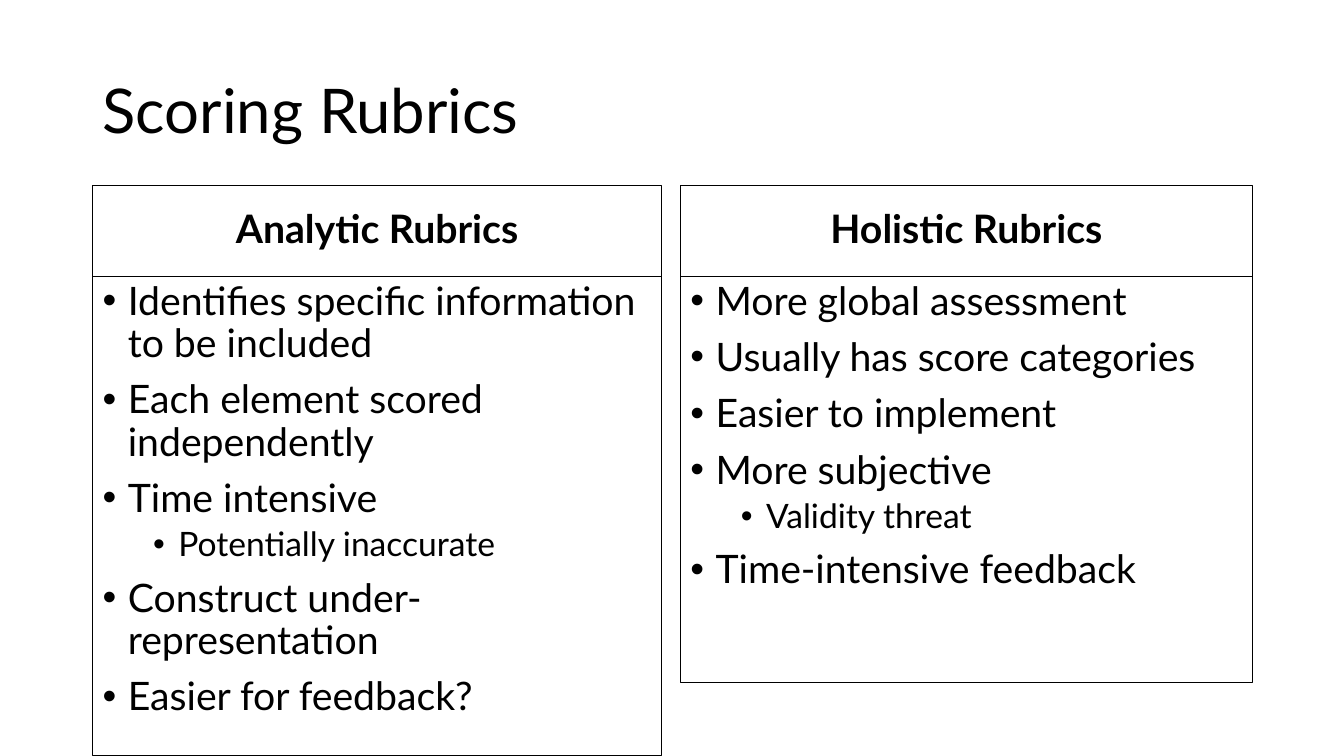
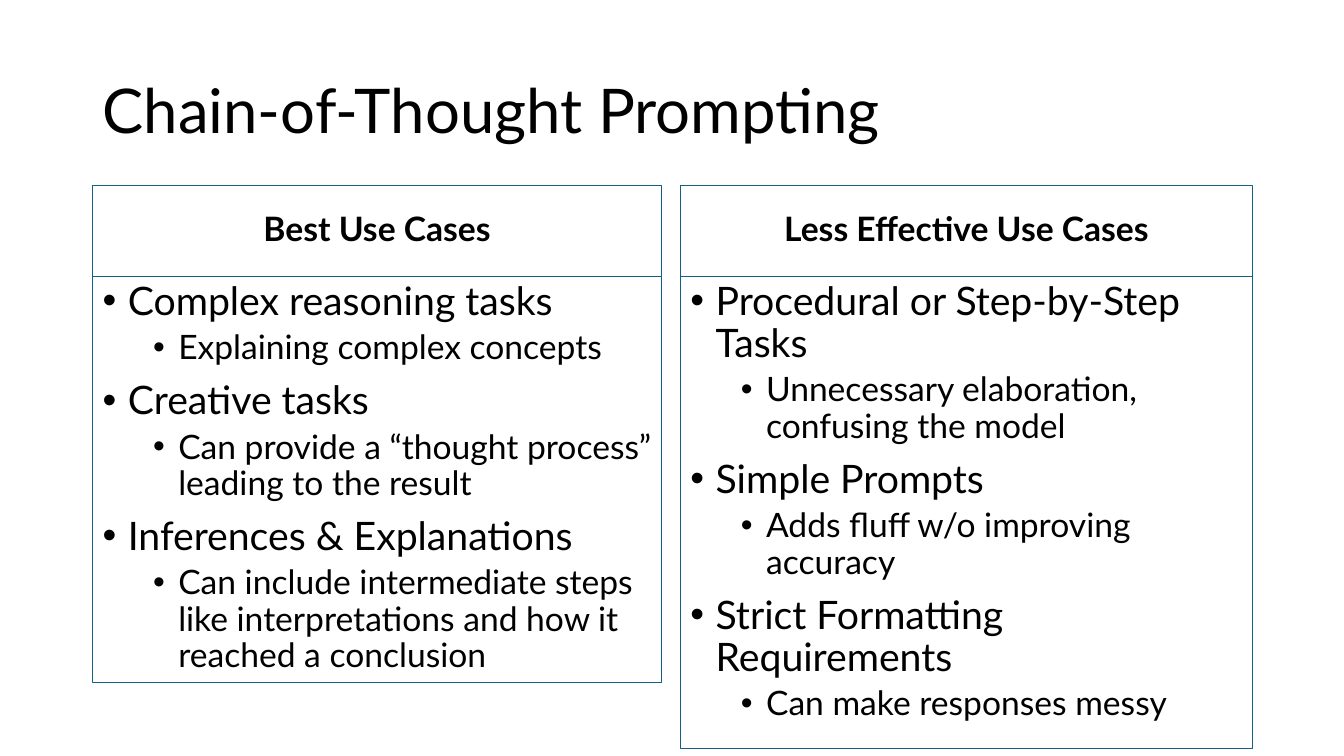
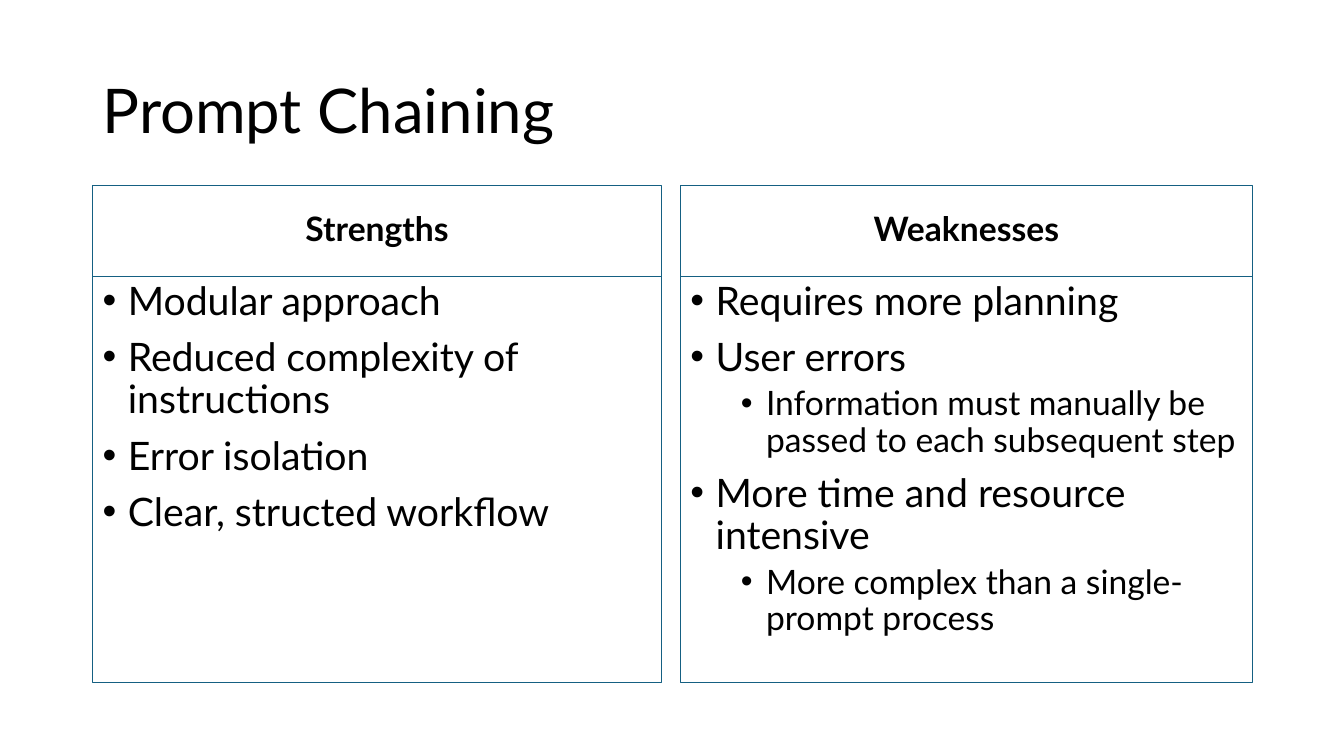
from dataclasses import dataclass

from lxml import etree
from pptx import Presentation
from pptx import util as u
from pptx.dml.color import RGBColor
from pptx.enum import shapes, text
from pptx.oxml import ns


@dataclass(frozen=True)
class Theme:
    font: str = "Lato"
    ink: RGBColor = RGBColor(0, 0, 0)
    teal: RGBColor = RGBColor(0x15, 0x60, 0x82)
    title: int = 44
    large: int = 28
    small: int = 24
    border: float = 0.75
    line_spacing: float = 0.9


theme = Theme()

# Grid in inches: (left, width) of columns, (top, height) of rows
WIDTH, HEIGHT = 13.33, 7.5
FULL = (0.92, 11.5)
COLUMNS = [(0.92, 5.64), (6.75, 5.67)]
TITLE_ROW, HEADING_ROW = (0.4, 1.45), (1.84, 0.9)
BODY_TOP, BODY_HEIGHT = 2.74, 4.03

# Text styles: paragraph formats and bullet level by role
LEVELS = [
    {"size": theme.large, "space_before": u.Pt(10), "indent": 0.25},
    {"size": theme.small, "space_before": u.Pt(5), "indent": 0.75},
]

# Each panel: heading, body height, (level, text) items
SLIDES = [
    ("Scoring Rubrics", theme.ink, theme.large, [
        ("Analytic Rubrics", HEIGHT - BODY_TOP, [
            (0, "Identifies specific information to be included"),
            (0, "Each element scored independently"),
            (0, "Time intensive"),
            (1, "Potentially inaccurate"),
            (0, "Construct under-representation"),
            (0, "Easier for feedback?"),
        ]),
        ("Holistic Rubrics", BODY_HEIGHT, [
            (0, "More global assessment"),
            (0, "Usually has score categories"),
            (0, "Easier to implement"),
            (0, "More subjective"),
            (1, "Validity threat"),
            (0, "Time-intensive feedback"),
        ]),
    ]),
    ("Chain-of-Thought Prompting", theme.teal, theme.small, [
        ("Best Use Cases", BODY_HEIGHT, [
            (0, "Complex reasoning tasks"),
            (1, "Explaining complex concepts"),
            (0, "Creative tasks"),
            (1, "Can provide a “thought process” leading to the result"),
            (0, "Inferences & Explanations"),
            (1, "Can include intermediate steps like interpretations "
                "and how it reached a conclusion"),
        ]),
        ("Less Effective Use Cases", 4.69, [
            (0, "Procedural or Step-by-Step Tasks"),
            (1, "Unnecessary elaboration, confusing the model"),
            (0, "Simple Prompts"),
            (1, "Adds fluff w/o improving accuracy"),
            (0, "Strict Formatting Requirements"),
            (1, "Can make responses messy"),
        ]),
    ]),
    ("Prompt Chaining", theme.teal, theme.small, [
        ("Strengths", BODY_HEIGHT, [
            (0, "Modular approach"),
            (0, "Reduced complexity of instructions"),
            (0, "Error isolation"),
            (0, "Clear, structed workflow"),
        ]),
        ("Weaknesses", BODY_HEIGHT, [
            (0, "Requires more planning"),
            (0, "User errors"),
            (1, "Information must manually be passed to each subsequent step"),
            (0, "More time and resource intensive"),
            (1, "More complex than a single-prompt process"),
        ]),
    ]),
]


def add_box(slide, column, row, anchor, border=None):
    """Add a text box, or an unfilled rectangle when a border is given."""
    place = [u.Inches(value) for value in (column[0], row[0], column[1], row[1])]
    if border is None:
        shape = slide.shapes.add_textbox(*place)
    else:
        shape = slide.shapes.add_shape(shapes.MSO_SHAPE.RECTANGLE, *place)
        shape.shadow.inherit = False
        shape.fill.background()
        shape.line.color.rgb = border
        shape.line.width = u.Pt(theme.border)
    frame = shape.text_frame
    formats = {"word_wrap": True, "vertical_anchor": anchor,
               "auto_size": text.MSO_AUTO_SIZE.NONE}
    for name, value in formats.items():
        setattr(frame, name, value)
    return frame


def write(paragraph, words, size, bold=False, **formats):
    """Fill a paragraph with one run in the theme's font."""
    formats = {"line_spacing": theme.line_spacing,
               "alignment": text.PP_ALIGN.LEFT, **formats}
    for name, value in formats.items():
        setattr(paragraph, name, value)
    run = paragraph.add_run()
    run.text = words
    for name, value in {"name": theme.font, "size": u.Pt(size), "bold": bold}.items():
        setattr(run.font, name, value)
    run.font.color.rgb = theme.ink


presentation = Presentation()
presentation.slide_width = u.Inches(WIDTH)
presentation.slide_height = u.Inches(HEIGHT)
blank = presentation.slide_layouts[6]

for title, border, heading_size, panels in SLIDES:
    slide = presentation.slides.add_slide(blank)

    # Title
    frame = add_box(slide, FULL, TITLE_ROW, text.MSO_ANCHOR.MIDDLE)
    write(frame.paragraphs[0], title, theme.title)

    for column, (heading, body_height, items) in zip(COLUMNS, panels):
        # Panel heading
        frame = add_box(slide, column, HEADING_ROW, text.MSO_ANCHOR.MIDDLE, border)
        write(frame.paragraphs[0], heading, heading_size, bold=True,
              alignment=text.PP_ALIGN.CENTER)

        # Panel body with two bullet levels
        frame = add_box(slide, column, (BODY_TOP, body_height),
                        text.MSO_ANCHOR.TOP, border)
        for number, (level, words) in enumerate(items):
            style = LEVELS[level]
            paragraph = frame.add_paragraph() if number else frame.paragraphs[0]
            properties = paragraph._p.get_or_add_pPr()
            properties.set("marL", str(u.Inches(style["indent"])))
            properties.set("indent", str(u.Inches(-0.25)))
            etree.SubElement(properties, ns.qn("a:buFont"), typeface="Arial")
            etree.SubElement(properties, ns.qn("a:buChar"), char="•")
            write(paragraph, words, style["size"], level=level,
                  space_before=style["space_before"] if number else u.Pt(0))

presentation.save("out.pptx")
